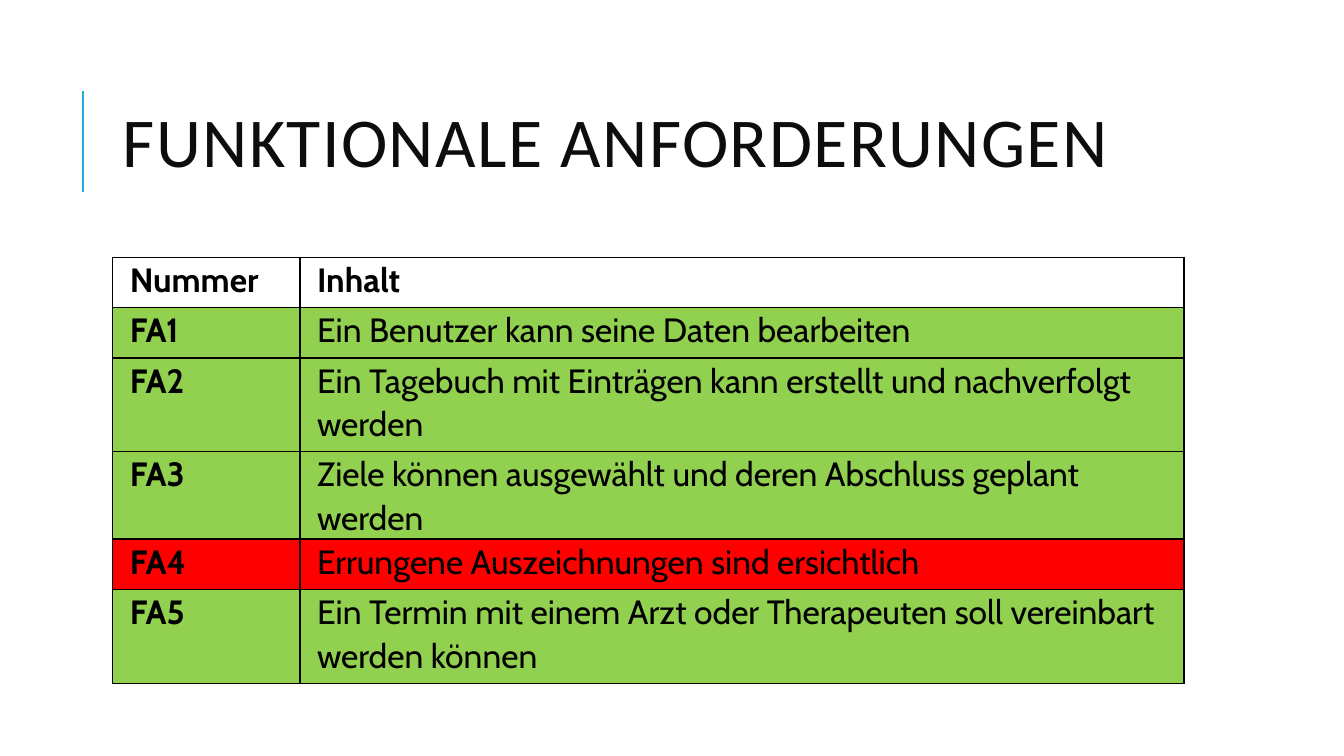
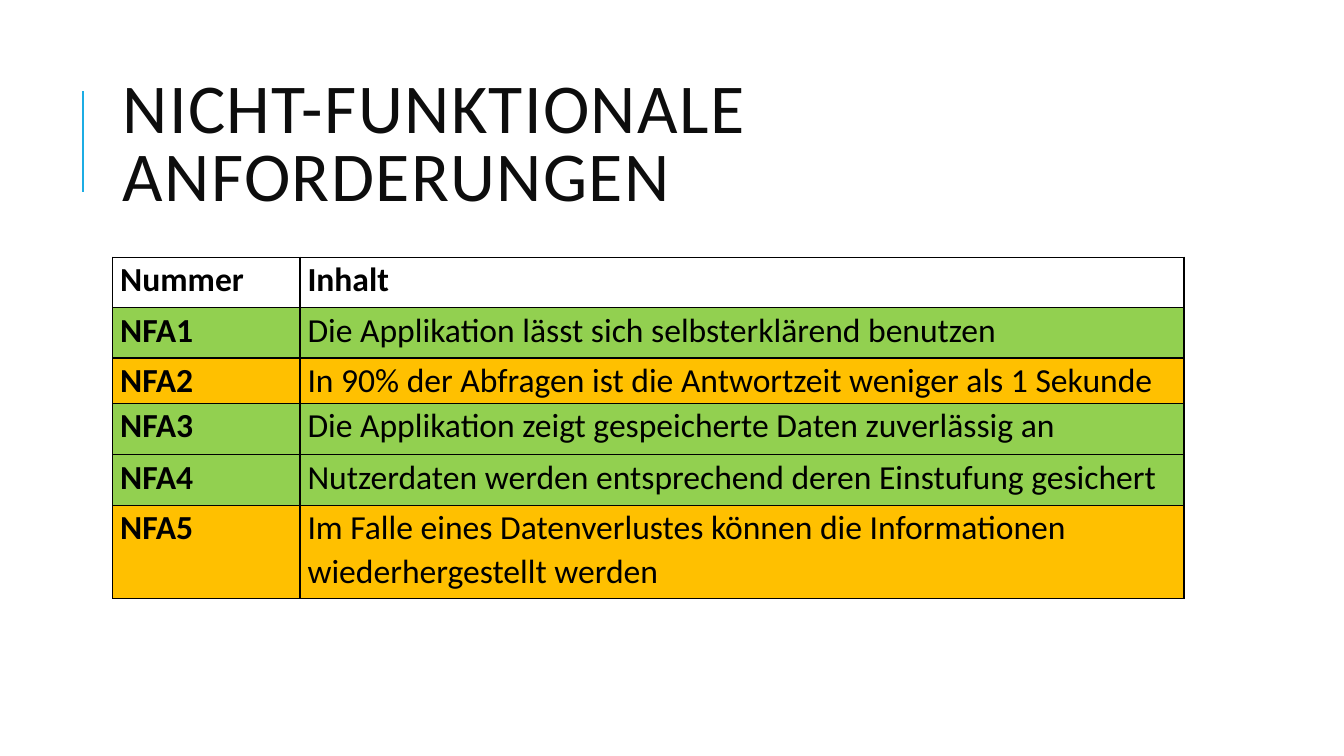
"""Build two slides that list functional and non-functional requirements."""
from lxml import etree
from pptx import Presentation
from pptx.dml.color import RGBColor
from pptx.enum import shapes, text
from pptx.oxml import ns
from pptx.util import Cm, Pt

GREEN, RED, AMBER = "92D050", "FF0000", "FFC000"
ACCENT, INK, BLACK = "1CADE4", "0D0D0D", "000000"
TITLE_BOX = {"left": Cm(2.84), "top": Cm(1.63), "width": Cm(27), "height": Cm(4.17)}
TITLE_FRAME = {"word_wrap": True, "auto_size": text.MSO_AUTO_SIZE.NONE,
               "vertical_anchor": text.MSO_ANCHOR.MIDDLE}
COLUMN_WIDTHS = [Cm(4.72), Cm(22.28)]
HEADINGS = ("Nummer", "Inhalt", None, 1.27)

REQUIREMENTS = [
    ("FUNKTIONALE ANFORDERUNGEN", "Cabin", 0.43, [
        ("FA1", "Ein Benutzer kann seine Daten bearbeiten", GREEN, 1.27),
        ("FA2", "Ein Tagebuch mit Einträgen kann erstellt und nachverfolgt werden", GREEN, 2.36),
        ("FA3", "Ziele können ausgewählt und deren Abschluss geplant werden", GREEN, 1.3),
        ("FA4", "Errungene Auszeichnungen sind ersichtlich", RED, 1.27),
        ("FA5", "Ein Termin mit einem Arzt oder Therapeuten soll vereinbart werden können",
         GREEN, 2.36),
    ]),
    ("NICHT-FUNKTIONALE ANFORDERUNGEN", "Calibri", 0.19, [
        ("NFA1", "Die Applikation lässt sich selbsterklärend benutzen", GREEN, 1.27),
        ("NFA2", "In 90% der Abfragen ist die Antwortzeit weniger als 1 Sekunde", AMBER, 1.14),
        ("NFA3", "Die Applikation zeigt gespeicherte Daten zuverlässig an", GREEN, 1.3),
        ("NFA4", "Nutzerdaten werden entsprechend deren Einstufung gesichert", GREEN, 1.27),
        ("NFA5", "Im Falle eines Datenverlustes können die Informationen "
         "wiederhergestellt werden", AMBER, 2.36),
    ]),
]


def paint(target, color):
    """Give a fill, line fill or font a solid colour."""
    if hasattr(target, "solid"):
        target.solid()
        target.fore_color.rgb = RGBColor.from_string(color)
    else:
        target.color.rgb = RGBColor.from_string(color)


def write(frame, wording, spacing, color, font_format):
    """Put one left-aligned paragraph into a text frame and return its run."""
    paragraph = frame.paragraphs[0]
    paragraph.alignment = text.PP_ALIGN.LEFT
    paragraph.line_spacing = spacing
    run = paragraph.add_run()
    run.text = wording
    for key, value in font_format.items():
        setattr(run.font, key, value)
    paint(run.font, color)
    return run


deck = Presentation()
deck.slide_width, deck.slide_height = Cm(33.87), Cm(19.05)

for heading, table_font, side_margin, entries in REQUIREMENTS:
    slide = deck.slides.add_slide(deck.slide_layouts[5])

    accent = slide.shapes.add_connector(
        shapes.MSO_CONNECTOR.STRAIGHT, Cm(2.1), Cm(4.83), Cm(2.1), Cm(2.29))
    paint(accent.line, ACCENT) if hasattr(accent.line, "solid") else paint(accent.line.fill, ACCENT)
    accent.line.width = Pt(1.5)
    etree.SubElement(accent.element.spPr, ns.qn("a:effectLst"))

    title = slide.shapes.title
    for key, value in TITLE_BOX.items():
        setattr(title, key, value)
    for key, value in TITLE_FRAME.items():
        setattr(title.text_frame, key, value)
    title_run = write(title.text_frame, heading, 0.8, INK, {"size": Pt(50), "name": "Calibri"})
    title_run.font._element.set("spc", "100")

    rows = [HEADINGS, *entries]
    table_height = Cm(sum(row[3] for row in rows))
    table = slide.shapes.add_table(
        len(rows), 2, Cm(2.84), Cm(6.48), sum(COLUMN_WIDTHS), table_height).table
    table.first_row = table.horz_banding = False
    for column, width in zip(table.columns, COLUMN_WIDTHS):
        column.width = width

    cell_format = {"margin_left": Cm(side_margin), "margin_right": Cm(side_margin),
                   "margin_top": 0, "margin_bottom": 0}
    for row_index, (number, content, status, height) in enumerate(rows):
        table.rows[row_index].height = Cm(height)
        for column_index, wording in enumerate((number, content)):
            cell = table.cell(row_index, column_index)
            for key, value in cell_format.items():
                setattr(cell, key, value)
            is_bold = row_index == 0 or column_index == 0
            write(cell.text_frame, wording, 1.07, BLACK,
                  {"size": Pt(24), "name": table_font, "bold": is_bold})
            properties = cell._tc.get_or_add_tcPr()
            for edge in ("lnL", "lnR", "lnT", "lnB"):
                border = etree.SubElement(properties, ns.qn(f"a:{edge}"), w=str(Pt(1)))
                border_fill = etree.SubElement(border, ns.qn("a:solidFill"))
                etree.SubElement(border_fill, ns.qn("a:srgbClr"), val=BLACK)
            if status:
                paint(cell.fill, status)
            else:
                cell.fill.background()

deck.save("out.pptx")
